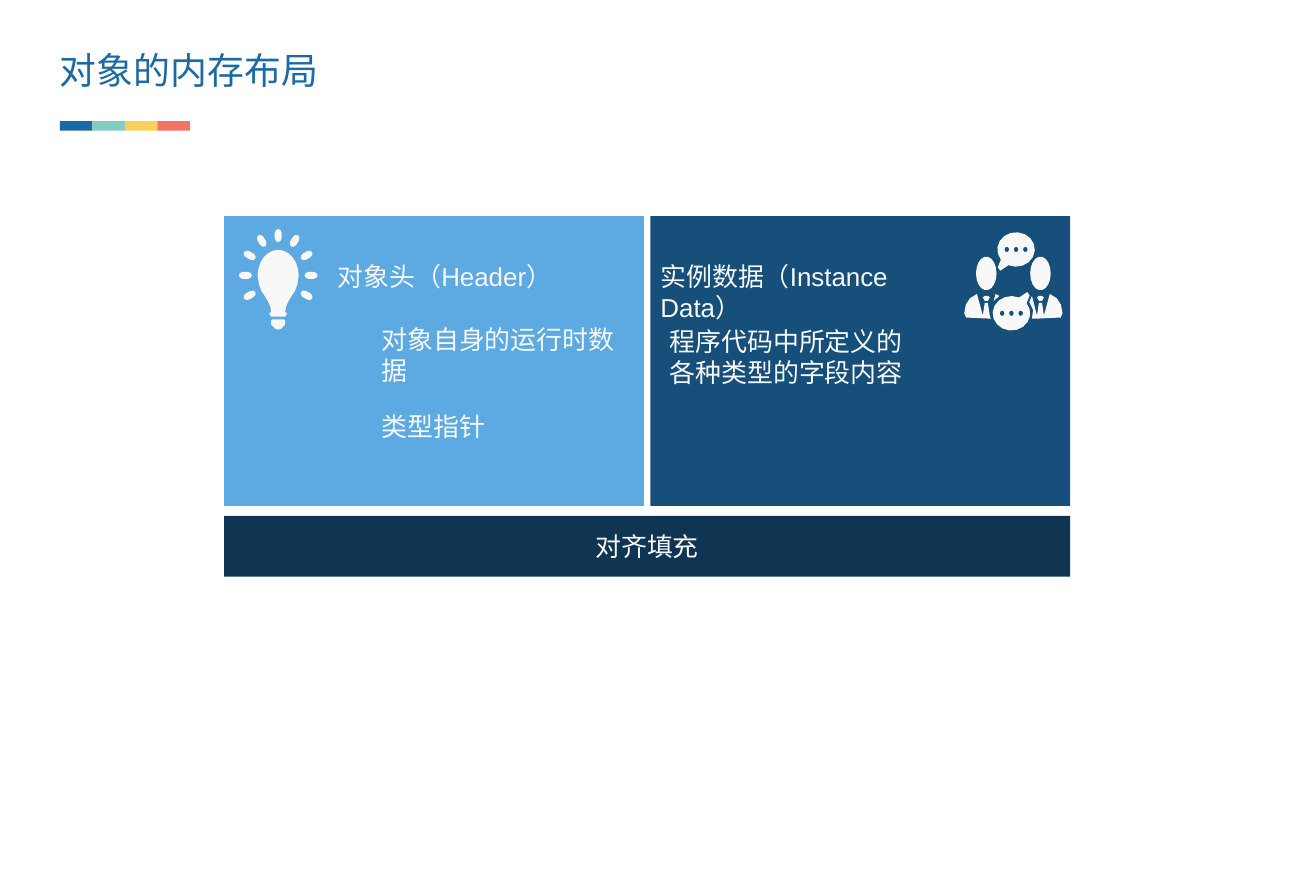
"""Build a slide on the memory layout of an object."""
from math import cos, radians, sin

from lxml.etree import SubElement
from pptx import Presentation
from pptx.dml.color import RGBColor
from pptx.enum.shapes import MSO_SHAPE
from pptx.enum.text import MSO_ANCHOR, PP_ALIGN
from pptx.oxml.ns import qn
from pptx.util import Cm, Pt

INK = {
    "blue": "1D69A3", "teal": "84CBC3", "gold": "F8D158", "coral": "F57365",
    "sky": "5DA9E2", "navy": "164F7A", "deep": "0F3552", "pale": "F8F8F8",
}
TITLE = "对象的内存布局"
PAD = "对齐填充"
NOTES = [
    ("对象自身的运行时数据", 9.61, 8.24, 7.01, 1.88),
    ("类型指针", 9.61, 10.49, 7.01, 1.09),
    ("程序代码中所定义的各种类型的字段内容", 17.06, 8.3, 7.01, 1.93),
    ("对象头（Header）", 8.48, 6.62, 7.01, 1.09),
    ("实例数据（Instance Data）", 16.82, 6.62, 8.59, 1.09),
]
STRIPE = ["blue", "teal", "gold", "coral"]
LEFT, TOP, WIDE, HIGH, GAP = 5.79, 5.59, 10.85, 7.49, 0.17

BULB = (7.19, 7.12)
RAY = [(-0.09, 0.07), (-0.06, 0.14), (0, 0.17), (0.06, 0.14),
       (0.09, 0.07), (0.09, -0.07), (0.06, -0.14), (0, -0.17),
       (-0.06, -0.14), (-0.09, -0.07)]
GLASS = [(0.5, 0.22), (0.43, 0.41), (0.38, 0.48), (0.27, 0.66),
         (0.2, 0.82), (0.18, 0.94), (0.23, 0.99), (0.18, 1.07)]
SCREW = [(0.15, 1.14), (0.18, 1.17), (0.18, 1.27), (0.13, 1.32),
         (0.08, 1.38), (0, 1.4)]

PAIR = (26.19, 7.07)
BODY = [(0.94, 0.53), (1.12, 0.64), (1.23, 0.81), (1.27, 1.04), (1.22, 1.14),
        (0.58, 1.17), (0.61, 1.09), (0.66, 0.76), (0.74, 0.76), (0.79, 1.09)]
KNOT = [(0.74, 0.71), (0.66, 0.71), (0.61, 0.62), (0.66, 0.58),
        (0.74, 0.58), (0.79, 0.62)]
LAPELS = [
    [(-0.51, 0.71), (-0.36, 0.58), (-0.46, 0.53)],
    [(0.61, 1.09), (0.48, 0.58), (0.41, 0.74), (0.51, 0.94),
     (0.48, 1.17), (0.58, 1.17)],
]
TAIL = [(0.41, -0.55), (0.47, -0.46)]
TALKS = [((-0.05, 1.03), 1), ((0.07, -0.62), -1)]

deck = Presentation()
deck.slide_width, deck.slide_height = Cm(34.01), Cm(23.01)
slide = deck.slides.add_slide(deck.slide_layouts[6])
shapes = slide.shapes


def paint(shape, ink):
    shape.shadow.inherit = False
    shape.fill.solid()
    shape.fill.fore_color.rgb = RGBColor.from_string(INK[ink])
    shape.line.fill.background()
    return shape


def block(x, y, w, h, ink):
    return paint(shapes.add_shape(MSO_SHAPE.RECTANGLE, Cm(x), Cm(y),
                                  Cm(w), Cm(h)), ink)


def oval(w, h, turns):
    return [(w / 2 * cos(radians(a)), h / 2 * sin(radians(a))) for a in turns]


def move(points, dx, dy, flip=(1, 1)):
    return [(dx + flip[0] * x, dy + flip[1] * y) for x, y in points]


def icon(mid, loops):
    form = None
    for loop in loops:
        spots = [(Cm(x), Cm(y)) for x, y in move(loop, *mid)]
        if form is None:
            form = shapes.build_freeform(*spots[0], scale=1.0)
        else:
            form.move_to(*spots[0])
        form.add_line_segments(spots[1:], close=True)
    paint(form.convert_to_shape(), "pale")


def write(frame, text, size, ink, font="Arial"):
    frame.word_wrap = True
    run = frame.paragraphs[0].add_run()
    run.text = text
    run.font.size, run.font.name = Pt(size), font
    run.font.color.rgb = RGBColor.from_string(INK[ink])
    SubElement(run.font._element, qn("a:ea")).set("typeface", "Arial")


def label(text, x, y, w, h, size=19, ink="pale", font="Arial"):
    frame = shapes.add_textbox(Cm(x), Cm(y), Cm(w), Cm(h)).text_frame
    write(frame, text, size, ink, font)
    return frame


def lamp():
    loops = []
    for turn in range(-120, 121, 30):
        c, s = cos(radians(turn)), sin(radians(turn))
        ray = [(x * c - y * s, x * s + y * c) for x, y in RAY]
        loops.append(move(ray, 0.85 * s, -1.03 * c))
    dome = oval(1.06, 1.32, range(-90, 1, 15))
    for half in (dome + GLASS, SCREW):
        loops.append(half + move(half[::-1], 0, 0, (-1, 1)))
    icon(BULB, loops)


def people():
    loops = list(LAPELS)
    for side in (-1, 1):
        loops.append(move(oval(0.53, 0.87, range(0, 360, 20)), side * 0.7, 0))
        loops += [move(part, 0, 0, (side, 1)) for part in (BODY, KNOT)]
    for (x, y), turn in TALKS:
        talk = oval(0.97, 0.89, range(-36, 296, 22)) + TAIL
        loops.append(move(talk, x, y, (turn, turn)))
        for step in (-1, 0, 1):
            dot = oval(0.12, 0.14, range(0, 360, 45))
            loops.append(move(dot, x + step * 0.24, y))
    icon(PAIR, loops)


def main():
    for i, ink in enumerate(STRIPE):
        block(1.55 + i * 0.84, 3.13, 0.84, 0.25, ink)
    head = label(TITLE, 1.55, 1.24, 14.2, 2.29, 27, "blue", "Noto Sans CJK SC")
    head.margin_left = head.margin_right = 0
    head.margin_top = head.margin_bottom = 0

    for i, (ink, draw) in enumerate([("sky", lamp), ("navy", people)]):
        block(LEFT + i * (WIDE + GAP), TOP, WIDE, HIGH, ink)
        draw()

    bar = block(LEFT, 13.34, 2 * WIDE + GAP, 1.57, "deep").text_frame
    bar.vertical_anchor = MSO_ANCHOR.MIDDLE
    bar.paragraphs[0].alignment = PP_ALIGN.CENTER
    write(bar, PAD, 19, "pale")
    for note in NOTES:
        label(*note)
    deck.save("out.pptx")


if __name__ == "__main__":
    main()
